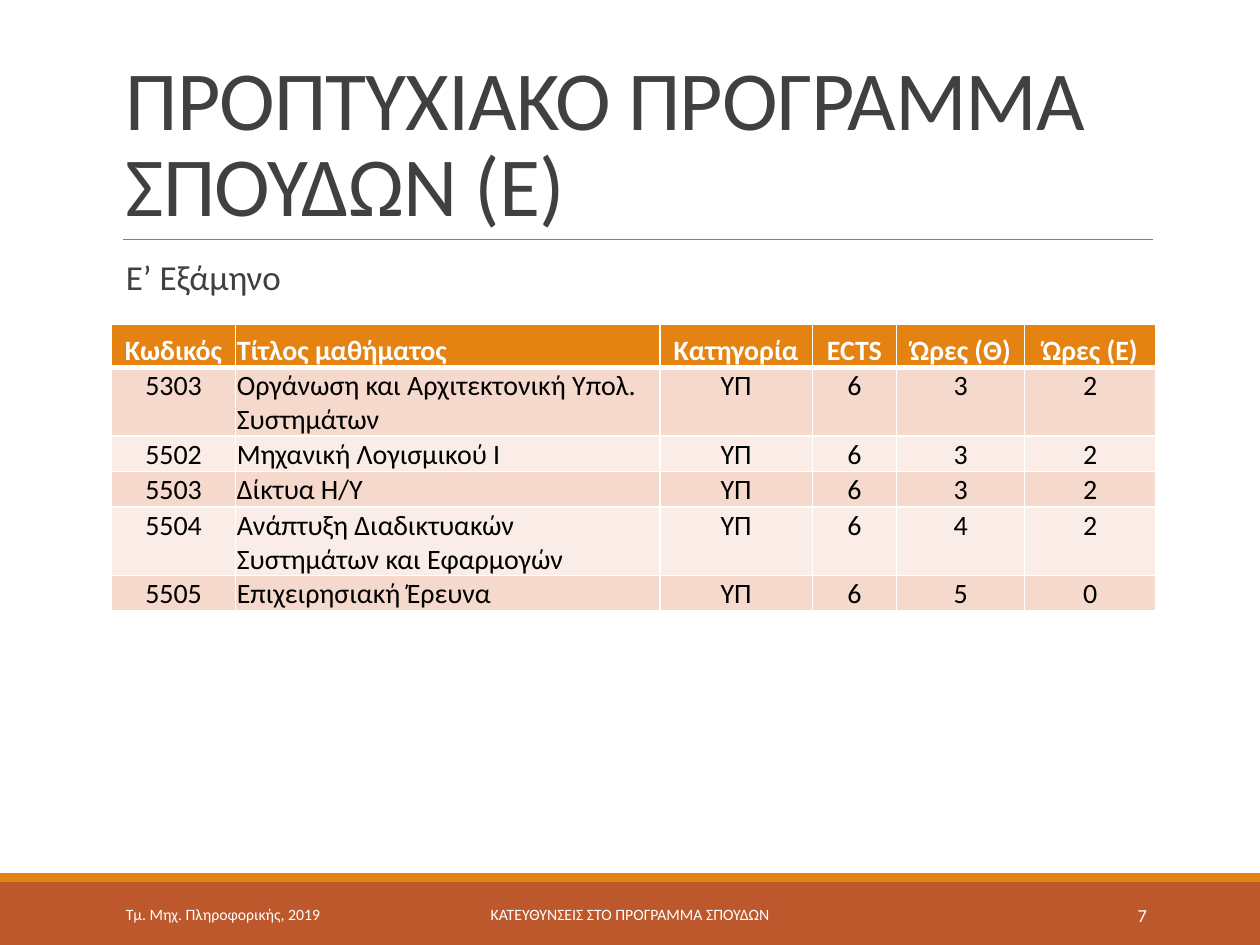
from dataclasses import dataclass

from lxml import etree
from pptx import Presentation
from pptx.dml.color import RGBColor
from pptx.enum import shapes, text
from pptx.oxml import ns
from pptx.util import Pt


@dataclass(frozen=True)
class Theme:
    font: str = "Calibri"
    ink: str = "404040"
    black: str = "000000"
    white: str = "FFFFFF"
    rule: str = "808080"
    orange: str = "E48312"
    rust: str = "BD582C"
    bands: tuple = ("F5D9CC", "FAEDE7")
    title_size: float = 48
    body_size: float = 20
    table_size: float = 16
    footer_size: float = 9
    number_size: float = 10.5


theme = Theme()
LEFT, CENTER, RIGHT = text.PP_ALIGN.LEFT, text.PP_ALIGN.CENTER, text.PP_ALIGN.RIGHT
TOP, MIDDLE, BOTTOM = text.MSO_ANCHOR.TOP, text.MSO_ANCHOR.MIDDLE, text.MSO_ANCHOR.BOTTOM


def write(frame, wording, size, color, align=LEFT, bold=False):
    """Fill a text frame with one styled paragraph and return it."""
    frame.word_wrap = True
    para = frame.paragraphs[0]
    para.add_run().text = wording
    para.alignment = align
    para.font.name = theme.font
    para.font.size = Pt(size)
    para.font.bold = bold
    para.font.color.rgb = RGBColor.from_string(color)
    return para


def add_text(left, top, width, height, anchor, *style):
    """Place a text box and return its only paragraph."""
    box = page.shapes.add_textbox(Pt(left), Pt(top), Pt(width), Pt(height))
    box.text_frame.vertical_anchor = anchor
    return write(box.text_frame, *style)


deck = Presentation()
deck.slide_width, deck.slide_height = Pt(720), Pt(540)
page = deck.slides.add_slide(deck.slide_layouts[6])

# Footer bands
for top, height, color in ((504, 36, theme.rust), (499, 5, theme.orange)):
    band = page.shapes.add_shape(
        shapes.MSO_SHAPE.RECTANGLE, Pt(0), Pt(top), Pt(720), Pt(height))
    band.shadow.inherit = False
    band.fill.solid()
    band.fill.fore_color.rgb = RGBColor.from_string(color)
    band.line.fill.background()

# Rule under the title
rule = page.shapes.add_connector(
    shapes.MSO_CONNECTOR.STRAIGHT, Pt(70.5), Pt(136.8), Pt(658.8), Pt(136.8))
rule.line.color.rgb = RGBColor.from_string(theme.rule)
rule.line.width = Pt(0.5)
etree.SubElement(rule._element.spPr, ns.qn("a:effectLst"))

# Title and subtitle
title = add_text(64.8, 22.3, 594, 114.5, BOTTOM,
                 "ΠΡΟΠΤΥΧΙΑΚΟ ΠΡΟΓΡΑΜΜΑ ΣΠΟΥΔΩΝ (Ε)", theme.title_size, theme.ink)
title.line_spacing = 0.85
title.runs[0]._r.get_or_add_rPr().set("spc", "-50")

semester = add_text(64.8, 145.4, 594, 316.8, TOP,
                    "Ε’ Εξάμηνο", theme.body_size, theme.ink)
semester.line_spacing = 0.9
semester.space_before, semester.space_after = Pt(12), Pt(2)

# Footer texts
add_text(64.8, 508.3, 146.2, 28.8, MIDDLE,
         "Τμ. Μηχ. Πληροφορικής, 2019", theme.footer_size, theme.white)
add_text(217.4, 508.3, 285.1, 28.8, MIDDLE,
         "ΚΑΤΕΥΘΥΝΣΕΙΣ ΣΤΟ ΠΡΟΓΡΑΜΜΑ ΣΠΟΥΔΩΝ", theme.footer_size, theme.white, CENTER)
add_text(584.6, 508.3, 77.8, 28.8, MIDDLE, "7", theme.number_size, theme.white, RIGHT)

# Course table
courses = (
    ("Κωδικός", "Τίτλος μαθήματος", "Κατηγορία", "ECTS", "Ώρες (Θ)", "Ώρες (Ε)"),
    ("5303", "Οργάνωση και Αρχιτεκτονική Υπολ. Συστημάτων", "ΥΠ", "6", "3", "2"),
    ("5502", "Μηχανική Λογισμικού Ι", "ΥΠ", "6", "3", "2"),
    ("5503", "Δίκτυα Η/Υ", "ΥΠ", "6", "3", "2"),
    ("5504", "Ανάπτυξη Διαδικτυακών Συστημάτων και Εφαρμογών", "ΥΠ", "6", "4", "2"),
    ("5505", "Επιχειρησιακή Έρευνα", "ΥΠ", "6", "5", "0"),
)
widths = (71, 242.5, 87, 48.3, 73, 75)
heights = (25, 39, 20.3, 20.3, 39, 20.3)
table = page.shapes.add_table(len(courses), len(widths), Pt(63.7), Pt(185.2),
                              Pt(sum(widths)), Pt(sum(heights))).table
for column, width in zip(table.columns, widths):
    column.width = Pt(width)
for row, height in zip(table.rows, heights):
    row.height = Pt(height)

for r, course in enumerate(courses):
    header = r == 0
    fill = theme.orange if header else theme.bands[(r - 1) % 2]
    # The line between the header and the first course is heavier
    borders = {"lnL": 1, "lnR": 1, "lnT": 3 if r == 1 else 1, "lnB": 3 if header else 1}
    for c, wording in enumerate(course):
        cell = table.cell(r, c)
        cell.margin_left = cell.margin_right = cell.margin_top = Pt(0.7)
        cell.margin_bottom = Pt(0)
        cell.vertical_anchor = BOTTOM if header else TOP
        write(cell.text_frame, wording, theme.table_size,
              theme.white if header else theme.black, LEFT if c == 1 else CENTER, header)
        properties = cell._tc.get_or_add_tcPr()
        for side, weight in borders.items():
            line = etree.SubElement(properties, ns.qn(f"a:{side}"), w=str(Pt(weight)))
            paint = etree.SubElement(line, ns.qn("a:solidFill"))
            etree.SubElement(paint, ns.qn("a:srgbClr"), val=theme.white)
        cell.fill.solid()
        cell.fill.fore_color.rgb = RGBColor.from_string(fill)

deck.save("out.pptx")
